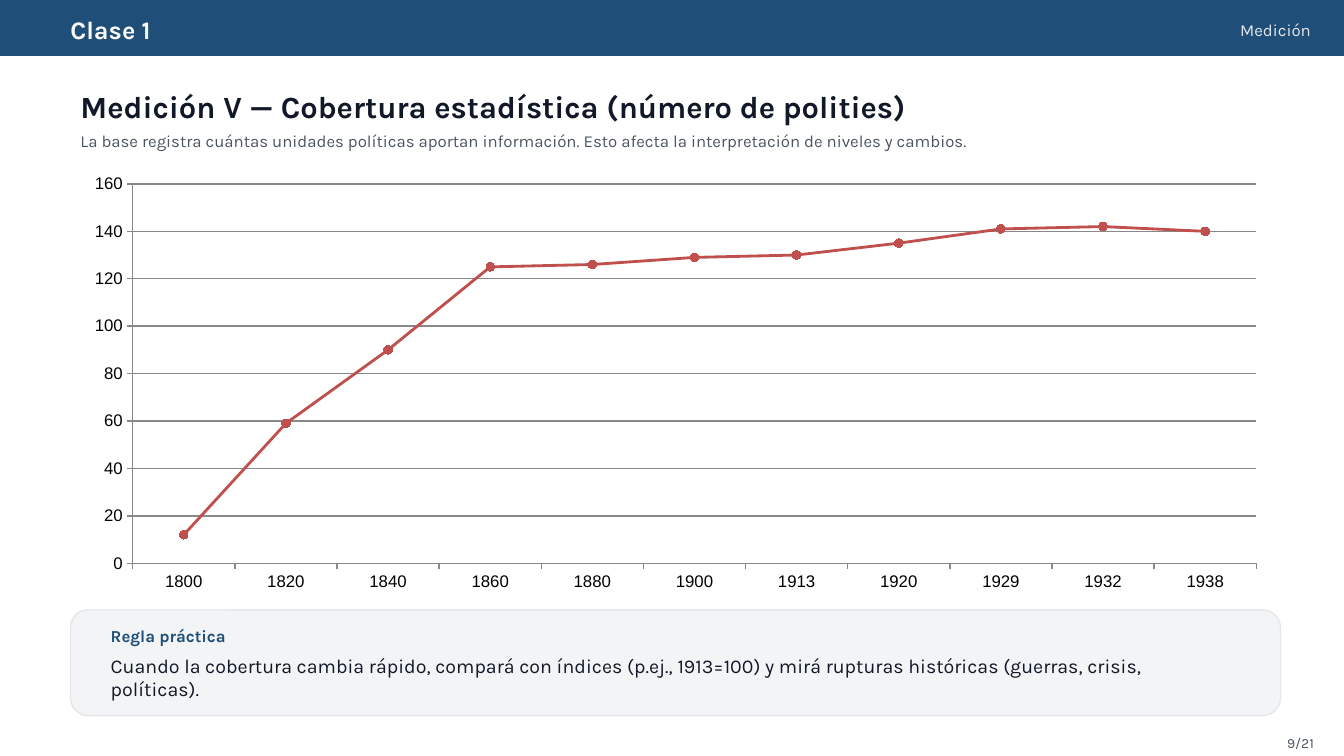
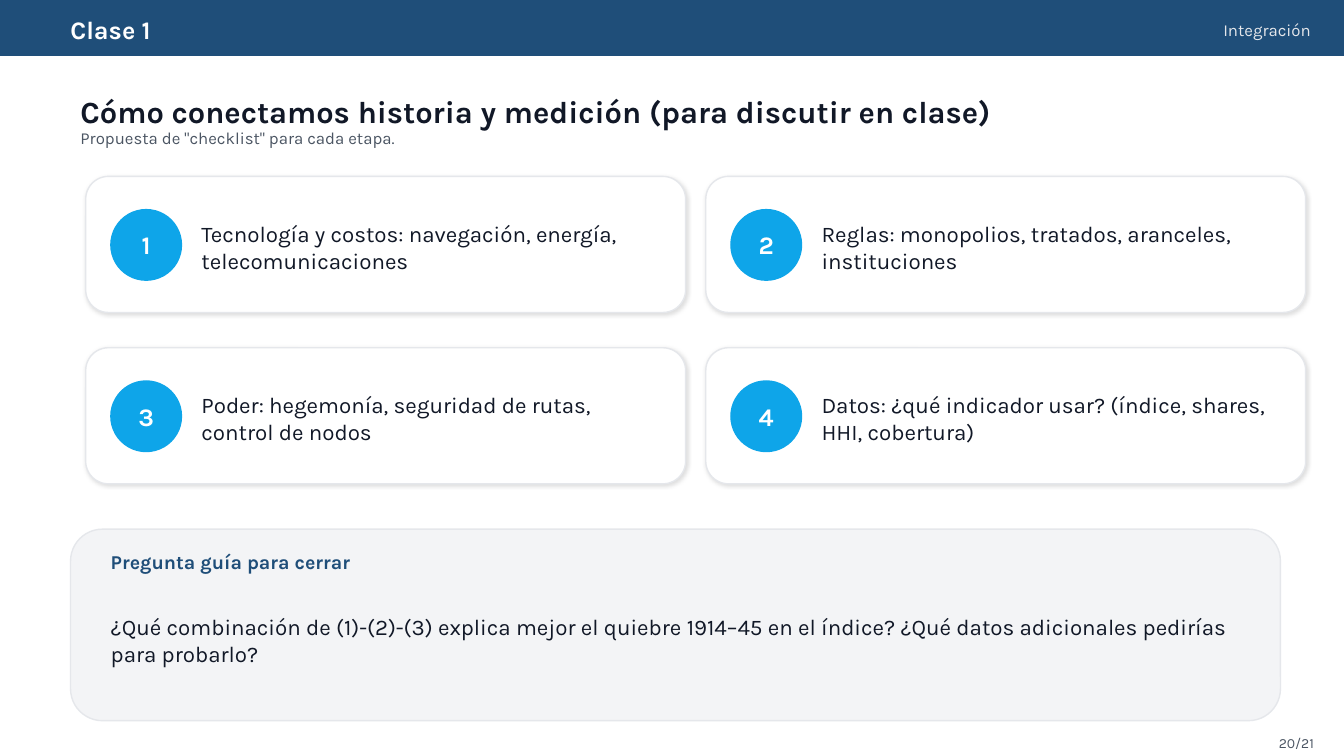
from typing import NamedTuple
from lxml.etree import SubElement
from pptx import Presentation
from pptx.chart.data import CategoryChartData as Data
from pptx.dml.color import RGBColor
from pptx.enum.chart import XL_CHART_TYPE as Kind, XL_MARKER_STYLE as Mark
from pptx.enum.chart import XL_TICK_LABEL_POSITION as Labels, XL_TICK_MARK as Tick
from pptx.enum.shapes import MSO_SHAPE as Form
from pptx.enum.text import MSO_ANCHOR as Anchor, PP_ALIGN as Align
from pptx.oxml.ns import qn
from pptx.util import Inches, Pt

NAVY = RGBColor(0x1F, 0x4E, 0x79)
SKY = RGBColor(0x0E, 0xA5, 0xE9)
WHITE = RGBColor(0xFF, 0xFF, 0xFF)
PALE = RGBColor(0xF3, 0xF4, 0xF6)
EDGE = RGBColor(0xE5, 0xE7, 0xEB)
INK = RGBColor(0x11, 0x18, 0x27)
SLATE = RGBColor(0x4B, 0x55, 0x63)
BLACK = RGBColor(0, 0, 0)
GRAY = RGBColor(0x88, 0x88, 0x88)
RED = RGBColor(0xC0, 0x50, 0x4D)
FONT = "Karla"
CELL = Inches(0.1)
COLS, ROWS = 133.3, 75


class Box(NamedTuple):
    """Area of the slide, counted in grid cells."""
    x: float
    y: float
    w: float
    h: float

    def inner(self, x, y, w, h):
        """Return an area placed from this one's top left corner."""
        return Box(self.x + x, self.y + y, w, h)

    def emu(self):
        """Return the area as lengths for a shape."""
        return [round(n * CELL) for n in self]


PAGE = Box(0, 0, COLS, ROWS)
BODY = PAGE.inner(7, 0, 120, ROWS)


def write(frame, text, size, color, bold=False, align=Align.LEFT):
    """Fill a text frame with one run, centred vertically."""
    frame.word_wrap = True
    frame.vertical_anchor = Anchor.MIDDLE
    para = frame.paragraphs[0]
    para.alignment = align
    run = para.add_run()
    run.text = text
    font = run.font
    font.name, font.size, font.bold = FONT, Pt(size), bold
    font.color.rgb = color


def label(slide, box, text, size, color, **style):
    """Add a text box."""
    frame = slide.shapes.add_textbox(*box.emu()).text_frame
    write(frame, text, size, color, **style)


def panel(slide, box, form, fill, edge):
    """Add a filled and outlined shape without shadow."""
    shape = slide.shapes.add_shape(form, *box.emu())
    shape.shadow.inherit = False
    shape.fill.solid()
    shape.fill.fore_color.rgb = fill
    stroke(shape.line, edge, 1)
    return shape


def shade(shape):
    """Give a shape a soft shadow to the lower right."""
    effects = shape.element.spPr.find(qn("a:effectLst"))
    outer = SubElement(effects, qn("a:outerShdw"), blurRad=str(Pt(3)),
                       dist=str(Pt(1)), dir="2700000", rotWithShape="0")
    black = SubElement(outer, qn("a:srgbClr"), val="000000")
    SubElement(black, qn("a:alpha"), val="12000")


def start(deck, topic, title, lead, number, high, low):
    """Add a slide with its band, heading and page number."""
    slide = deck.slides.add_slide(deck.slide_layouts[6])
    panel(slide, PAGE.inner(0, 0, COLS, 5.5), Form.RECTANGLE, NAVY, NAVY)
    label(slide, PAGE.inner(6, 1.2, 98, 3.5), "Clase 1", 18, WHITE, bold=True)
    label(slide, PAGE.inner(102, 1.5, 29, 3), topic, 12, EDGE, align=Align.RIGHT)
    label(slide, BODY.inner(0, 8.5, BODY.w, high), title, 22, INK, bold=True)
    label(slide, BODY.inner(0, 12.2, BODY.w, low), lead, 12, SLATE)
    label(slide, PAGE.inner(122.3, 72.7, 9, 2), f"{number}/21", 10, SLATE,
          align=Align.RIGHT)
    return slide


def note(slide, box, head, text, size, top, body):
    """Add a grey panel with a heading and a paragraph."""
    panel(slide, box, Form.ROUNDED_RECTANGLE, PALE, EDGE)
    label(slide, box.inner(*top), head, size, NAVY, bold=True)
    label(slide, box.inner(*body), text, size + 2, INK)


def card(slide, box, number, text):
    """Add a white card with a numbered disc."""
    shade(panel(slide, box, Form.ROUNDED_RECTANGLE, WHITE, EDGE))
    disc = panel(slide, box.inner(2.5, 3.3, 7, 7), Form.OVAL, SKY, SKY)
    frame = disc.text_frame
    frame.margin_left = frame.margin_right = 0
    write(frame, str(number), 18, WHITE, bold=True, align=Align.CENTER)
    label(slide, box.inner(10.5, 2.5, 47, 9), text, 16, INK)


def cards(slide, box, texts):
    """Lay out cards in two columns."""
    wide, tall = 59.5, 13.5
    for i, text in enumerate(texts):
        row, col = divmod(i, 2)
        spot = box.inner(col * (box.w - wide), row * (box.h - tall), wide, tall)
        card(slide, spot, i + 1, text)


def stroke(line, color, width):
    """Set the colour and width of a line."""
    line.color.rgb = color
    line.width = Pt(width)


def graph(slide, box, points):
    """Add a line chart with markers."""
    data = Data()
    data.categories = list(points)
    data.add_series("Series 1", points.values())
    chart = slide.shapes.add_chart(Kind.LINE_MARKERS, *box.emu(), data).chart
    chart.has_legend = chart.has_title = False
    chart.font.name, chart.font.size = "Calibri", Pt(10)
    chart.font.color.rgb = BLACK
    for axis in (chart.category_axis, chart.value_axis):
        axis.major_tick_mark, axis.minor_tick_mark = Tick.OUTSIDE, Tick.NONE
        font = axis.tick_labels.font
        font.name, font.size = "Arial", Pt(12)
        font.color.rgb = BLACK
        stroke(axis.format.line, GRAY, 1)
    chart.category_axis.tick_label_position = Labels.LOW
    scale = chart.value_axis
    scale.minimum_scale, scale.maximum_scale, scale.major_unit = 0, 160, 20
    scale.has_major_gridlines = True
    stroke(scale.major_gridlines.format.line, GRAY, 1)
    plot = chart.plots[0]
    plot.vary_by_categories = False
    line = plot.series[0]
    line.smooth = False
    stroke(line.format.line, RED, 2)
    mark = line.marker
    mark.style, mark.size = Mark.CIRCLE, 6
    mark.format.fill.solid()
    mark.format.fill.fore_color.rgb = RED
    mark.format.line.color.rgb = RED


def cover(deck):
    """Build the slide on statistical coverage."""
    slide = start(
        deck, "Medición",
        "Medición V — Cobertura estadística (número de polities)",
        "La base registra cuántas unidades políticas aportan información. "
        "Esto afecta la interpretación de niveles y cambios.", 9, 4, 3.5)
    graph(slide, BODY.inner(0, 16.5, BODY.w, 43), {
        "1800": 12, "1820": 59, "1840": 90, "1860": 125, "1880": 126,
        "1900": 129, "1913": 130, "1920": 135, "1929": 141, "1932": 142,
        "1938": 140})
    note(slide, BODY.inner(0, 60.5, BODY.w, 10.5), "Regla práctica",
         "Cuando la cobertura cambia rápido, compará con índices (p.ej., "
         "1913=100) y mirá rupturas históricas (guerras, crisis, políticas).",
         12, (3, 1.3, 40, 2.5), (3, 3.7, 113, 6))


def check(deck):
    """Build the slide with the checklist for discussion."""
    slide = start(
        deck, "Integración",
        "Cómo conectamos historia y medición (para discutir en clase)",
        'Propuesta de "checklist" para cada etapa.', 20, 5, 3)
    cards(slide, PAGE.inner(8.5, 17.5, 121, 30.5), [
        "Tecnología y costos: navegación, energía, telecomunicaciones",
        "Reglas: monopolios, tratados, aranceles, instituciones",
        "Poder: hegemonía, seguridad de rutas, control de nodos",
        "Datos: ¿qué indicador usar? (índice, shares, HHI, cobertura)"])
    note(slide, BODY.inner(0, 52.5, BODY.w, 19), "Pregunta guía para cerrar",
         "¿Qué combinación de (1)-(2)-(3) explica mejor el quiebre 1914–45 en "
         "el índice? ¿Qué datos adicionales pedirías para probarlo?",
         14, (3, 1.7, 114, 3), (3, 5, 114, 12))


def main():
    """Build and save the deck."""
    deck = Presentation()
    deck.slide_width, deck.slide_height = PAGE.emu()[2:]
    cover(deck)
    check(deck)
    deck.save("out.pptx")


if __name__ == "__main__":
    main()
